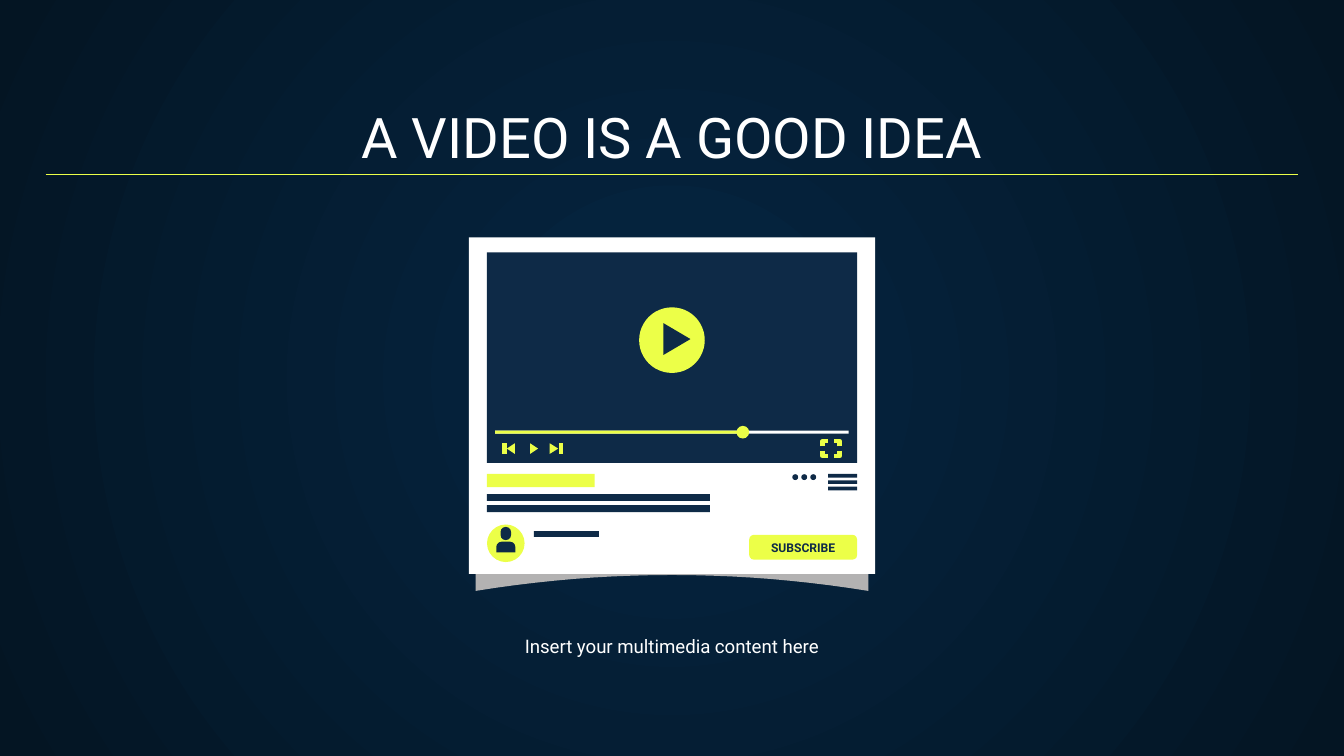
from lxml import etree
from pptx import Presentation
from pptx.dml.color import RGBColor
from pptx.enum.shapes import MSO_CONNECTOR, MSO_SHAPE
from pptx.enum.text import MSO_ANCHOR, PP_ALIGN
from pptx.oxml.ns import qn
from pptx.util import Cm, Pt

RECTANGLE = MSO_SHAPE.RECTANGLE
OVAL = MSO_SHAPE.OVAL
ROUNDED = MSO_SHAPE.ROUNDED_RECTANGLE
ROUND_TOP = MSO_SHAPE.ROUND_2_SAME_RECTANGLE
STRAIGHT = MSO_CONNECTOR.STRAIGHT
TOP, MIDDLE, BOTTOM = MSO_ANCHOR.TOP, MSO_ANCHOR.MIDDLE, MSO_ANCHOR.BOTTOM
CENTER = PP_ALIGN.CENTER

NAVY, YELLOW, WHITE, GRAY = "0E2A47", "ECFF48", "FFFFFF", "B3B2B2"
GLOW, EDGE = "052643", "041523"
FONT = "Roboto"
ICON_LINE = 2.45


def color(value):
    return RGBColor.from_string(value)


class Canvas:
    def __init__(self, slide):
        self.slide = slide
        self.shapes = slide.shapes

    def background(self, inner, outer):
        fill = self.slide.background.fill
        fill.gradient()
        for stop, value in zip(fill.gradient_stops, (inner, outer)):
            stop.color.rgb = color(value)
        gradient = self.slide.element.find(".//" + qn("a:gradFill"))
        gradient.remove(gradient.find(qn("a:lin")))
        circle = etree.SubElement(gradient, qn("a:path"), path="circle")
        center = dict.fromkeys("ltrb", "50000")
        etree.SubElement(circle, qn("a:fillToRect"), **center)

    def label(self, shape, text, size, value, anchor, inset=0.0, bold=False):
        frame = shape.text_frame
        frame.word_wrap = True
        frame.vertical_anchor = anchor
        frame.margin_left = frame.margin_right = Cm(inset)
        frame.margin_top = frame.margin_bottom = Cm(inset)
        paragraph = frame.paragraphs[0]
        paragraph.text = text
        paragraph.alignment = CENTER
        paragraph.font.name = FONT
        paragraph.font.size = Pt(size)
        paragraph.font.bold = bold
        paragraph.font.color.rgb = color(value)

    def text(self, left, top, width, height, text, size, anchor):
        box = self.shapes.add_textbox(Cm(left), Cm(top), Cm(width), Cm(height))
        self.label(box, text, size, WHITE, anchor, inset=0.25)

    def shape(self, kind, left, top, width, height, value, *adjustments):
        shape = self.shapes.add_shape(kind, Cm(left), Cm(top), Cm(width), Cm(height))
        for index, adjustment in enumerate(adjustments):
            shape.adjustments[index] = adjustment
        self.paint(shape, value)
        return shape

    def paint(self, shape, value):
        shape.shadow.inherit = False
        shape.fill.solid()
        shape.fill.fore_color.rgb = color(value)
        shape.line.fill.background()

    def bar(self, left, top, width, height, value):
        self.shape(RECTANGLE, left, top, width, height, value)

    def disc(self, x, y, diameter, value):
        radius = diameter / 2
        self.shape(OVAL, x - radius, y - radius, diameter, diameter, value)

    def outline(self, points, closed):
        start, *rest = [(Cm(x), Cm(y)) for x, y in points]
        builder = self.shapes.build_freeform(*start)
        builder.add_line_segments(rest, close=closed)
        return builder.convert_to_shape()

    def polygon(self, points, value):
        self.paint(self.outline(points, True), value)

    def triangle(self, base, tip, y, height, value):
        half = height / 2
        self.polygon([(base, y - half), (base, y + half), (tip, y)], value)

    def stroke(self, points, value, width):
        shape = self.outline(points, False)
        shape.shadow.inherit = False
        shape.fill.background()
        shape.line.color.rgb = color(value)
        shape.line.width = Pt(width)

    def line(self, x1, y1, x2, y2, value, width):
        line = self.shapes.add_connector(STRAIGHT, Cm(x1), Cm(y1), Cm(x2), Cm(y2))
        line.line.color.rgb = color(value)
        line.line.width = Pt(width)
        etree.SubElement(line.element.spPr, qn("a:effectLst"))


def draw_player(canvas):
    middle, left, right = 12.7, 9.2, 16.2
    steps = [step / 10 for step in range(-10, 11)]
    top_edge = [(middle + 3.71 * t, 5.36 + 0.3 * t * t) for t in steps]
    bottom_edge = [(middle + 3.71 * t, 10.87 + 0.3 * t * t) for t in reversed(steps)]
    canvas.polygon(top_edge + bottom_edge, GRAY)
    canvas.bar(8.86, 4.49, 7.68, 6.36, WHITE)
    canvas.bar(left, 4.77, right - left, 3.98, NAVY)

    for width, value in ((6.68, WHITE), (4.68, YELLOW)):
        canvas.bar(9.36, 8.14, width, 0.06, value)
    canvas.disc(14.04, 8.17, 0.24, YELLOW)
    canvas.disc(middle, 6.43, 1.24, YELLOW)
    canvas.triangle(12.54, 13.05, 6.41, 0.6, NAVY)

    for base, tip in ((9.73, 9.58), (10.02, 10.17), (10.39, 10.55)):
        canvas.triangle(base, tip, 8.48, 0.2, YELLOW)
    for x in (9.53, 10.6):
        canvas.line(x, 8.38, x, 8.58, YELLOW, ICON_LINE)
    for horizontal in (-1, 1):
        for vertical in (-1, 1):
            x, y = 15.71 + 0.16 * horizontal, 8.48 + 0.14 * vertical
            arm_x, arm_y = x - 0.1 * horizontal, y - 0.1 * vertical
            canvas.stroke([(x, arm_y), (x, y), (arm_x, y)], YELLOW, ICON_LINE)


def draw_details(canvas):
    left = 9.2
    canvas.bar(left, 8.96, 2.04, 0.25, YELLOW)
    for top in (9.34, 9.55):
        canvas.bar(left, top, 4.22, 0.13, NAVY)
    canvas.bar(10.09, 10.04, 1.23, 0.11, NAVY)
    for index in range(3):
        canvas.disc(15.03 + 0.17 * index, 9.02, 0.11, NAVY)
        canvas.bar(15.65, 8.96 + 0.12 * index, 0.55, 0.07, NAVY)

    canvas.disc(9.56, 10.27, 0.71, YELLOW)
    canvas.shape(ROUNDED, 9.46, 9.96, 0.2, 0.25, NAVY, 0.5)
    canvas.shape(ROUND_TOP, 9.38, 10.24, 0.36, 0.2, NAVY, 0.5, 0)
    button = canvas.shape(ROUNDED, 14.16, 10.11, 2.04, 0.47, YELLOW, 0.19)
    canvas.label(button, "SUBSCRIBE", 6.5, NAVY, MIDDLE, bold=True)


def main():
    presentation = Presentation()
    presentation.slide_width, presentation.slide_height = Cm(25.4), Cm(14.29)
    slide = presentation.slides.add_slide(presentation.slide_layouts[6])
    canvas = Canvas(slide)
    canvas.background(GLOW, EDGE)
    canvas.text(0.86, 1.78, 23.68, 1.68, "A VIDEO IS A GOOD IDEA", 30, BOTTOM)
    canvas.text(8.53, 11.79, 8.33, 0.99, "Insert your multimedia content here", 10, TOP)
    draw_player(canvas)
    draw_details(canvas)
    canvas.line(0.86, 3.3, 24.54, 3.3, YELLOW, 0.75)
    presentation.save("out.pptx")


if __name__ == "__main__":
    main()
